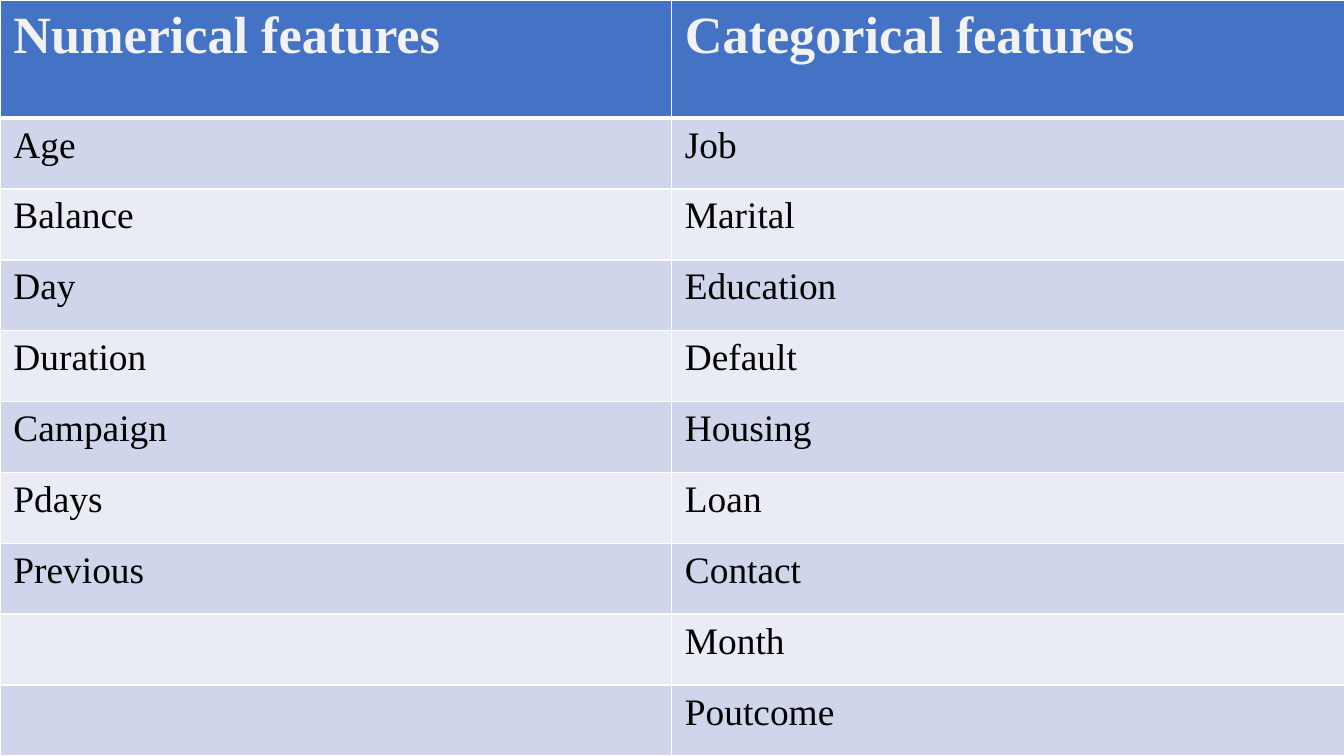
from dataclasses import dataclass
from itertools import zip_longest

from lxml import etree
from pptx import Presentation
from pptx import util as u
from pptx.dml.color import RGBColor
from pptx.oxml import ns


@dataclass(frozen=True)
class Theme:
    font: str = "Times New Roman"
    head_size: float = 28
    body_size: float = 20
    background: str = "006747"
    head_fill: str = "4472C4"
    head_text: str = "F2F2F2"
    body_text: str = "000000"
    bands: tuple = ("CFD5EA", "E9EBF5")
    border: str = "FFFFFF"
    thin: float = 1
    thick: float = 3


class Deck:
    """Holds the theme and the current slide."""

    def __init__(self, prs, theme):
        self.theme = theme
        self.s = prs.slides.add_slide(prs.slide_layouts[6])
        fill = self.s.background.fill
        fill.solid()
        fill.fore_color.rgb = RGBColor.from_string(theme.background)

    def borders(self, cell, bottom):
        tc_pr = cell._tc.get_or_add_tcPr()
        widths = dict.fromkeys(("lnL", "lnR", "lnT"), self.theme.thin)
        widths["lnB"] = bottom
        for side, width in widths.items():
            ln = etree.SubElement(tc_pr, ns.qn(f"a:{side}"), w=str(u.Pt(width)))
            solid = etree.SubElement(ln, ns.qn("a:solidFill"))
            etree.SubElement(solid, ns.qn("a:srgbClr"), val=self.theme.border)

    def cell(self, cell, words, fill, color, bottom, fmt):
        self.borders(cell, bottom)
        cell.fill.solid()
        cell.fill.fore_color.rgb = RGBColor.from_string(fill)
        if not words:
            return
        r = cell.text_frame.paragraphs[0].add_run()
        r.text = words
        r.font.color.rgb = RGBColor.from_string(color)
        for name, value in fmt.items():
            setattr(r.font, name, value)

    def table(self, columns, widths, head_height, row_height):
        t = self.theme
        rows = list(zip_longest(*columns.values(), fillvalue=""))
        height = head_height + row_height * len(rows)
        tbl = self.s.shapes.add_table(
            len(rows) + 1, len(columns), 0, 0, sum(widths), height).table
        for col, width in zip(tbl.columns, widths):
            col.width = width
        for i, row in enumerate(tbl.rows):
            row.height = row_height if i else head_height

        # Header row
        fmt = dict(name=t.font, size=u.Pt(t.head_size), bold=True)
        for c, words in enumerate(columns):
            self.cell(tbl.cell(0, c), words, t.head_fill, t.head_text, t.thick, fmt)

        # Banded body rows
        fmt = dict(name=t.font, size=u.Pt(t.body_size), bold=False)
        for i, row in enumerate(rows):
            for c, words in enumerate(row):
                self.cell(tbl.cell(i + 1, c), words, t.bands[i % 2],
                          t.body_text, t.thin, fmt)


def main():
    prs = Presentation()
    prs.slide_width, prs.slide_height = u.Cm(25.4), u.Cm(14.29)
    deck = Deck(prs, Theme())

    # Feature lists, one per column
    features = {
        "Numerical features": ["Age", "Balance", "Day", "Duration", "Campaign",
                               "Pdays", "Previous"],
        "Categorical features": ["Job", "Marital", "Education", "Default", "Housing",
                                 "Loan", "Contact", "Month", "Poutcome"],
    }
    deck.table(features, (u.Cm(12.69), u.Cm(12.74)), u.Cm(2.23), u.Cm(1.34))
    prs.save("out.pptx")


if __name__ == "__main__":
    main()
